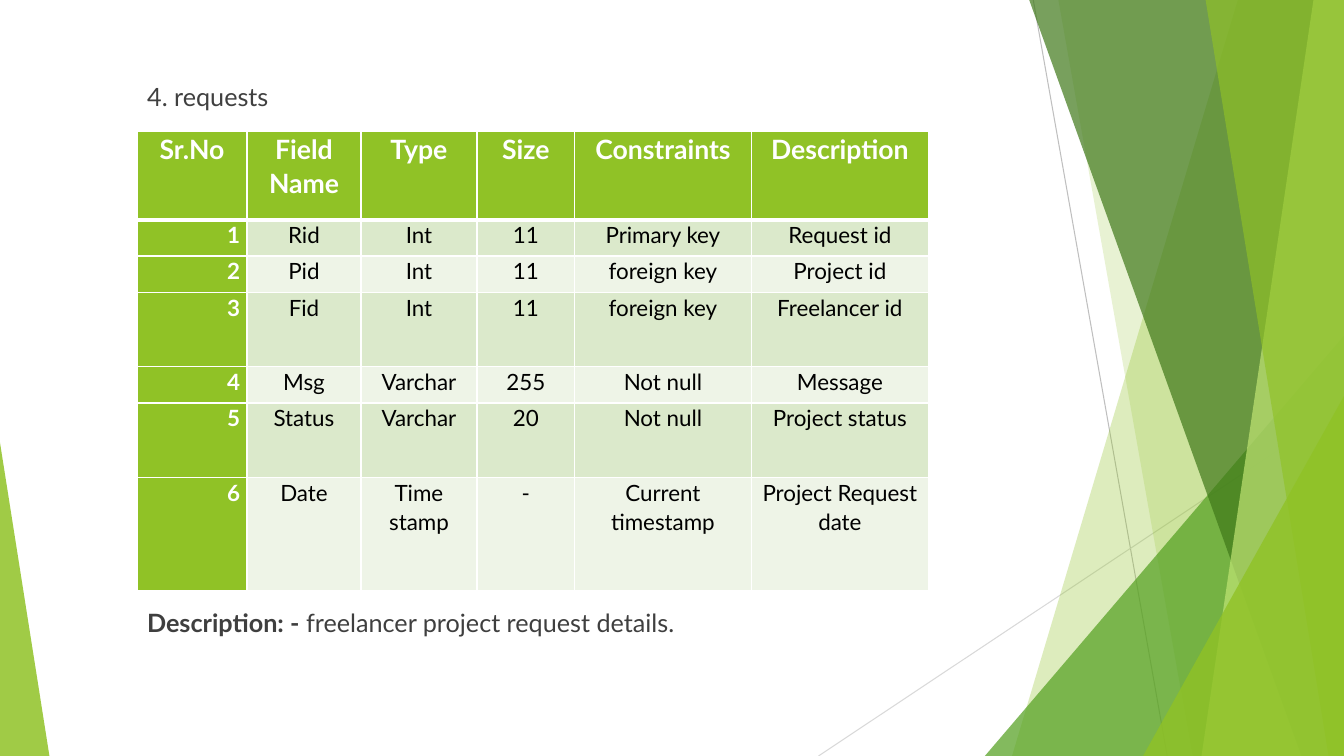
from dataclasses import dataclass
from typing import NamedTuple

import pptx
import pptx.dml.color
import pptx.enum.shapes
import pptx.enum.text
import pptx.oxml
import pptx.oxml.ns
import pptx.util
from lxml import etree

ALIGN = pptx.enum.text.PP_ALIGN
SHAPE = pptx.enum.shapes.MSO_SHAPE
qn = pptx.oxml.ns.qn


@dataclass(frozen=True)
class Theme:
    font: str = "Lato"
    green: str = "90C226"
    leaf: str = "54A021"
    forest: str = "3F7819"
    lime: str = "C0E474"
    bands: tuple = ("DBE9CB", "EEF4E7")
    white: str = "FFFFFF"
    black: str = "000000"
    heading: str = "404040"
    caption: str = "3F3F3F"
    text_size: int = 18
    header_size: int = 19
    cell_size: int = 16


T = Theme()


class Ray(NamedTuple):
    start: tuple[float, float]
    end: tuple[float, float]
    color: str


class Panel(NamedTuple):
    """A full-height area from a slanted left edge to the slide's right edge."""
    top_x: float
    bottom_x: float
    color: str
    opacity: int


class Corner(NamedTuple):
    """A right triangle standing on the slide's bottom edge."""
    left: float
    top: float
    width: float
    apex: float
    color: str
    opacity: int


# All lengths are percentages of the slide's width (x) or height (y).
DECOR = [
    Ray((76.88, 0), (86.85, 100), "BFBFBF"),
    Ray((100, 53.73), (60.9, 100), "D9D9D9"),
    Panel(92.1, 75.3, T.green, 30),
    Panel(78.75, 88.73, T.green, 20),
    Corner(73.28, 44.4, 26.72, 1, T.leaf, 72),
    Panel(76.58, 96.83, T.forest, 70),
    Panel(97.73, 89.4, T.lime, 70),
    Panel(89.7, 98.85, T.green, 65),
    Corner(85.05, 52.4, 14.95, 1, T.green, 80),
    Corner(0, 58.53, 3.68, 0, T.green, 85),
]
LEFT = 10.2
COL_WIDTHS = [8.18, 8.48, 8.63, 7.28, 13.13, 13.2]
ROW_HEIGHTS = [11.73, 4.8, 4.8, 9.87, 4.8, 9.87, 14.93]
HEADER = ["Sr.No", "Field Name", "Type", "Size", "Constraints", "Description"]
FIELDS = [
    ["Rid", "Int", "11", "Primary key", "Request id"],
    ["Pid", "Int", "11", "foreign key", "Project id"],
    ["Fid", "Int", "11", "foreign key", "Freelancer id"],
    ["Msg", "Varchar", "255", "Not null", "Message"],
    ["Status", "Varchar", "20", "Not null", "Project status"],
    ["Date", "Time stamp", "-", "Current timestamp", "Project Request date"],
]

prs = pptx.Presentation()
prs.slide_width = pptx.util.Inches(13.33)
prs.slide_height = pptx.util.Inches(7.5)


def px(share: float) -> int:
    return round(prs.slide_width * share / 100)


def py(share: float) -> int:
    return round(prs.slide_height * share / 100)


def rgb(color: str) -> pptx.dml.color.RGBColor:
    return pptx.dml.color.RGBColor.from_string(color)


def add_text(p, text: str, *, size: int, color: str, bold: bool = False,
             align=ALIGN.LEFT, spacing: float = 1.0) -> None:
    p.alignment = align
    p.line_spacing = spacing
    r = p.add_run()
    r.text = text
    r.font.name = T.font
    r.font.size = pptx.util.Pt(size)
    r.font.bold = bold
    r.font.color.rgb = rgb(color)


def fill_shape(sp, color: str, opacity: int) -> None:
    sp.shadow.inherit = False
    sp.line.fill.background()
    sp.fill.solid()
    sp.fill.fore_color.rgb = rgb(color)
    clr = sp.fill._xPr.find(qn("a:solidFill")).find(qn("a:srgbClr"))
    etree.SubElement(clr, qn("a:alpha"), val=str(opacity * 1000))


def draw_ray(s, ray: Ray) -> None:
    line = s.shapes.add_connector(
        pptx.enum.shapes.MSO_CONNECTOR.STRAIGHT,
        px(ray.start[0]), py(ray.start[1]), px(ray.end[0]), py(ray.end[1]))
    line.line.color.rgb = rgb(ray.color)
    line.line.width = pptx.util.Pt(0.75)
    etree.SubElement(line._element.spPr, qn("a:effectLst"))


def draw_panel(s, panel: Panel) -> None:
    builder = s.shapes.build_freeform(px(panel.top_x), 0)
    builder.add_line_segments(
        [(px(100), 0), (px(100), py(100)), (px(panel.bottom_x), py(100))])
    fill_shape(builder.convert_to_shape(), panel.color, panel.opacity)


def draw_corner(s, corner: Corner) -> None:
    sp = s.shapes.add_shape(
        SHAPE.ISOSCELES_TRIANGLE, px(corner.left), py(corner.top),
        px(corner.width), py(100 - corner.top))
    sp.adjustments[0] = corner.apex
    fill_shape(sp, corner.color, corner.opacity)


def set_borders(cell, top: float, bottom: float) -> None:
    """Draw white borders; widths are in points. Call before filling the cell."""
    tcPr = cell._tc.get_or_add_tcPr()
    for side, width in (("L", 1), ("R", 1), ("T", top), ("B", bottom)):
        ln = etree.SubElement(tcPr, qn(f"a:ln{side}"),
                              w=str(pptx.util.Pt(width)))
        fill = etree.SubElement(ln, qn("a:solidFill"))
        etree.SubElement(fill, qn("a:srgbClr"), val=T.white)


def draw_table(s) -> None:
    rows = [HEADER] + [[str(n), *field] for n, field in enumerate(FIELDS, 1)]
    table = s.shapes.add_table(
        len(rows), len(HEADER), px(LEFT), py(17.33),
        px(sum(COL_WIDTHS)), py(sum(ROW_HEIGHTS))).table
    for col, width in zip(table.columns, COL_WIDTHS):
        col.width = px(width)
    for i, (row, height) in enumerate(zip(rows, ROW_HEIGHTS)):
        table.rows[i].height = py(height)
        for j, text in enumerate(row):
            cell = table.cell(i, j)
            cell.margin_left = cell.margin_right = pptx.util.Inches(0.07)
            cell.margin_top = cell.margin_bottom = 0
            set_borders(cell, top=3 if i == 1 else 1, bottom=3 if i == 0 else 1)
            strong = i == 0 or j == 0
            cell.fill.solid()
            cell.fill.fore_color.rgb = rgb(
                T.green if strong else T.bands[(i - 1) % 2])
            add_text(cell.text_frame.paragraphs[0], text,
                     size=T.cell_size if i else T.header_size,
                     color=T.white if strong else T.black, bold=strong,
                     align=ALIGN.RIGHT if i and j == 0 else ALIGN.CENTER,
                     spacing=1.07)


def draw_title(s) -> None:
    title = s.shapes.title
    title.left, title.top = px(LEFT), py(10.13)
    title.width, title.height = px(65.85), py(7)
    tf = title.text_frame
    tf.word_wrap = True
    tf.auto_size = pptx.enum.text.MSO_AUTO_SIZE.NONE
    tf.vertical_anchor = pptx.enum.text.MSO_ANCHOR.TOP
    add_text(tf.paragraphs[0], "4. requests", size=T.text_size, color=T.heading)


def draw_caption(s) -> None:
    tf = s.shapes.add_textbox(px(LEFT), py(79.73), px(56.03), py(10.8)).text_frame
    tf.word_wrap = True
    p = tf.paragraphs[0]
    add_text(p, "Description: -", size=T.text_size, color=T.caption, bold=True)
    add_text(p, " freelancer project request details.",
             size=T.text_size, color=T.caption)


def main() -> None:
    s = prs.slides.add_slide(prs.slide_layouts[5])
    draw = {Ray: draw_ray, Panel: draw_panel, Corner: draw_corner}
    for item in DECOR:
        draw[type(item)](s, item)
    draw_title(s)
    draw_caption(s)
    draw_table(s)
    prs.save("out.pptx")


if __name__ == "__main__":
    main()
